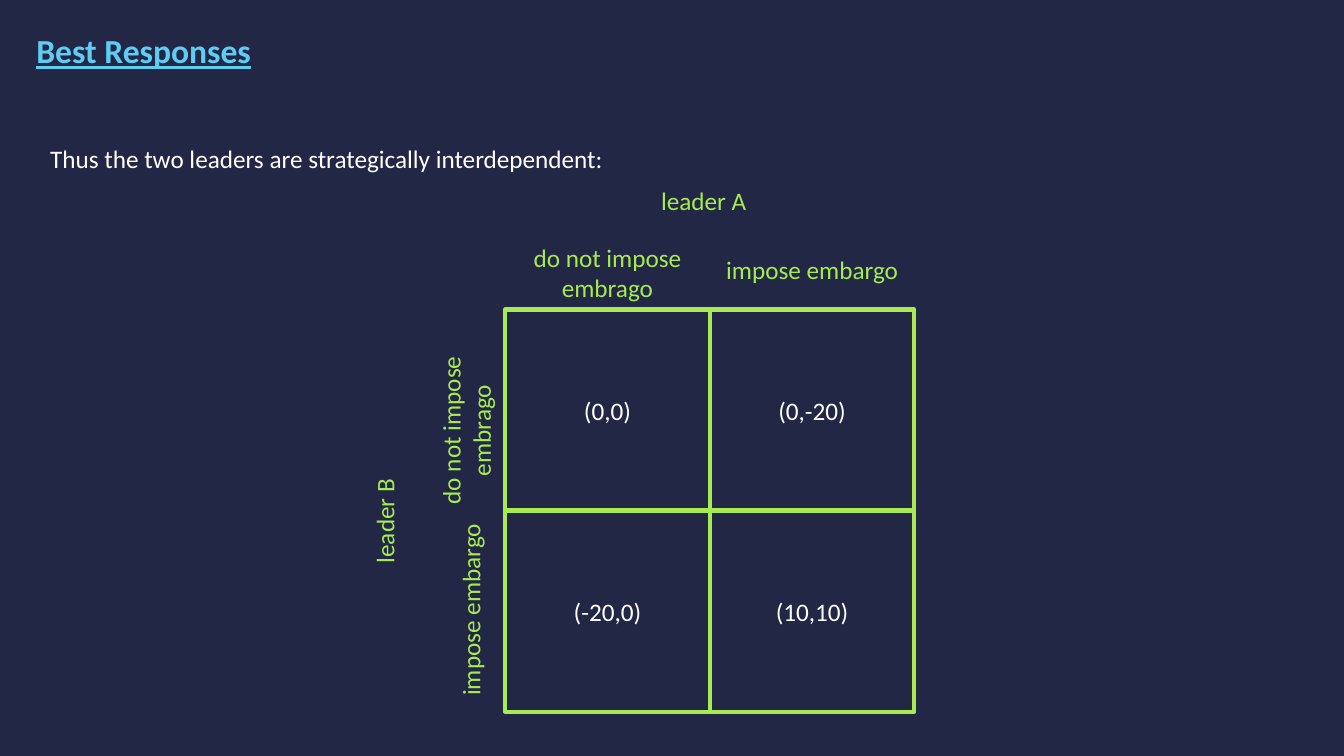
"""Build the slide on best responses with its two-by-two payoff matrix."""
from dataclasses import dataclass

from lxml import etree
from pptx import Presentation
from pptx.dml.color import RGBColor
from pptx.enum.shapes import MSO_CONNECTOR, MSO_SHAPE
from pptx.enum.text import MSO_ANCHOR, MSO_AUTO_SIZE, PP_ALIGN
from pptx.oxml.ns import qn
from pptx.shapes.autoshape import Shape
from pptx.slide import Slide
from pptx.util import Inches, Pt

NAVY = RGBColor(0x21, 0x27, 0x45)
SKY = RGBColor(0x5E, 0xCC, 0xF3)
LIME = RGBColor(0xA7, 0xEA, 0x52)
WHITE = RGBColor(0xFF, 0xFF, 0xFF)

LEFT, CENTER = PP_ALIGN.LEFT, PP_ALIGN.CENTER
TOP = MSO_ANCHOR.TOP
NO_AUTOFIT = MSO_AUTO_SIZE.NONE
RECTANGLE = MSO_SHAPE.RECTANGLE
STRAIGHT = MSO_CONNECTOR.STRAIGHT

FONT = "Calibri"
MATRIX_LEFT, MATRIX_TOP = 5.01, 3.07
COLUMN, ROW = 2.03, 2.0
MATRIX_HEIGHT = 3.99
LABEL_WIDTH, PAYOFF_WIDTH = 2.39, 1.1
ONE_LINE, TWO_LINES = 0.4, 0.71
RULE_WIDTH = Pt(3)
TOP_SIDE, LEFT_SIDE, BOTTOM_SIDE, RIGHT_SIDE = range(4)


@dataclass(frozen=True)
class Label:
    """Text centred at a column and row of the payoff matrix."""

    text: str
    column: float
    row: float
    color: RGBColor = LIME
    width: float = LABEL_WIDTH
    height: float = ONE_LINE
    rotation: int = 0


AXIS_LABELS = (
    Label("leader A", 0.97, -0.54),
    Label("leader B", -0.59, 1.05, rotation=270),
    Label("do not impose embrago", 0.5, -0.18, height=TWO_LINES),
    Label("impose embargo", 1.5, -0.2),
    Label("do not impose embrago", -0.19, 0.6, height=TWO_LINES, rotation=270),
    Label("impose embargo", -0.17, 1.49, rotation=270),
)
PAYOFFS = (("(0,0)", "(0,-20)"), ("(-20,0)", "(10,10)"))


def write(box: Shape, text: str, color: RGBColor, align: PP_ALIGN, size: int = 18, heading: bool = False) -> None:
    """Fill a box with one formatted run."""
    frame = box.text_frame
    frame.word_wrap = True
    frame.auto_size = NO_AUTOFIT
    frame.vertical_anchor = TOP
    para = frame.paragraphs[0]
    para.alignment = align
    span = para.add_run()
    span.text = text
    font = span.font
    font.name, font.size = FONT, Pt(size)
    font.bold = font.underline = heading
    font.color.rgb = color


def add_label(page: Slide, label: Label) -> None:
    """Place a label by its centre on the matrix grid."""
    left = MATRIX_LEFT + label.column * COLUMN - label.width / 2
    top = MATRIX_TOP + label.row * ROW - label.height / 2
    box = page.shapes.add_textbox(Inches(left), Inches(top), Inches(label.width), Inches(label.height))
    box.rotation = label.rotation
    write(box, label.text, label.color, CENTER)


def add_divider(page: Slide, matrix: Shape, start: int, end: int) -> None:
    """Join the middles of two opposite sides of the matrix."""
    divider = page.shapes.add_connector(STRAIGHT, 0, 0, 0, 0)
    divider.begin_connect(matrix, start)
    divider.end_connect(matrix, end)
    divider.line.color.rgb = LIME
    divider.line.width = RULE_WIDTH
    etree.SubElement(divider.element.spPr, qn("a:effectLst"))


def add_matrix(page: Slide) -> None:
    """Draw the frame and dividers of the payoff matrix."""
    matrix = page.shapes.add_shape(
        RECTANGLE, Inches(MATRIX_LEFT), Inches(MATRIX_TOP), Inches(2 * COLUMN), Inches(MATRIX_HEIGHT)
    )
    matrix.shadow.inherit = False
    matrix.fill.background()
    matrix.line.color.rgb = LIME
    matrix.line.width = RULE_WIDTH
    add_divider(page, matrix, TOP_SIDE, BOTTOM_SIDE)
    add_divider(page, matrix, LEFT_SIDE, RIGHT_SIDE)


def main() -> None:
    """Assemble and save the deck."""
    deck = Presentation()
    deck.slide_width, deck.slide_height = Inches(13.33), Inches(7.5)
    page = deck.slides.add_slide(deck.slide_layouts[5])
    page.background.fill.solid()
    page.background.fill.fore_color.rgb = NAVY

    title = page.shapes.title
    title.left, title.top = Inches(0.26), Inches(0.25)
    title.width, title.height = Inches(2.42), Inches(0.5)
    write(title, "Best Responses", SKY, LEFT, size=24, heading=True)

    intro = page.shapes.add_textbox(Inches(0.4), Inches(1.37), Inches(8.3), Inches(ONE_LINE))
    write(intro, "Thus the two leaders are strategically interdependent:", WHITE, LEFT)

    add_matrix(page)
    for label in AXIS_LABELS:
        add_label(page, label)
    for row, payoffs in enumerate(PAYOFFS):
        for column, payoff in enumerate(payoffs):
            add_label(page, Label(payoff, column + 0.5, row + 0.5, WHITE, PAYOFF_WIDTH))
    deck.save("out.pptx")


if __name__ == "__main__":
    main()
